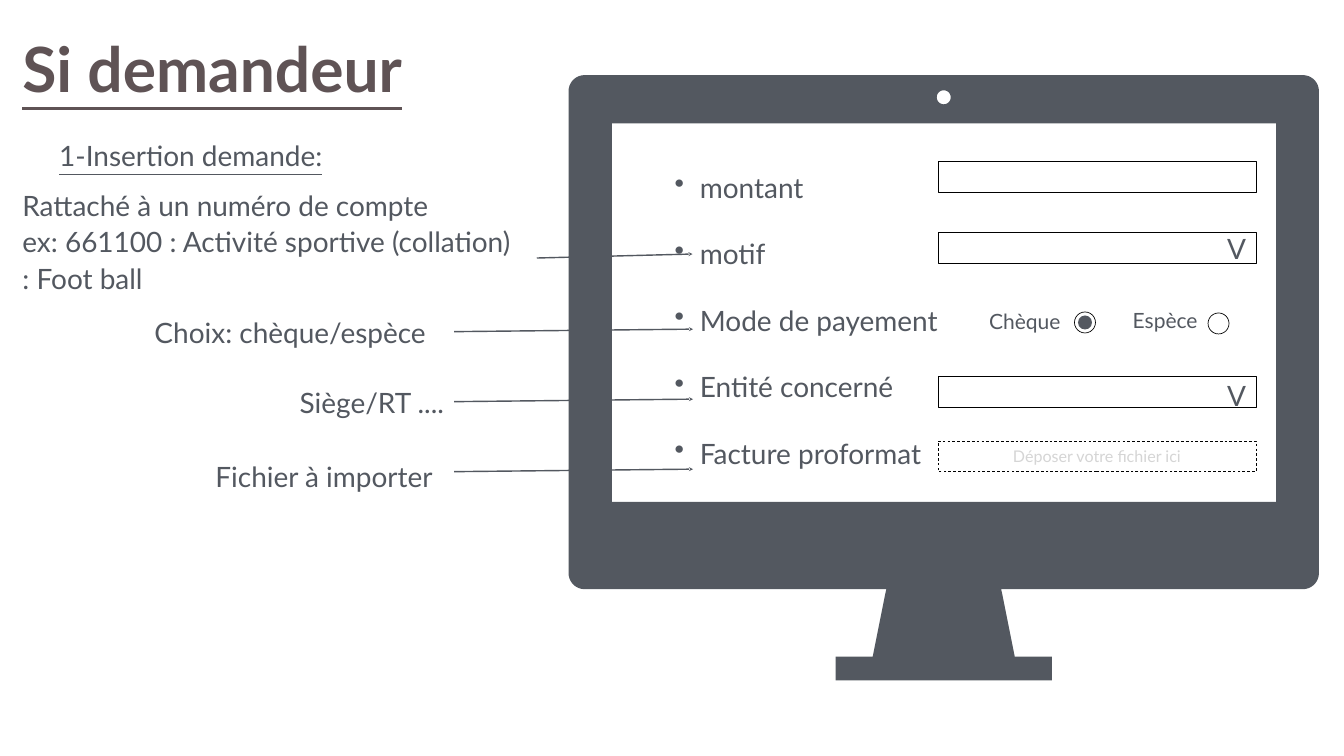
from math import cos, radians, sin

from lxml.etree import SubElement
from pptx import Presentation
from pptx.dml.color import RGBColor
from pptx.enum.dml import MSO_LINE
from pptx.enum.shapes import MSO_CONNECTOR, MSO_SHAPE
from pptx.enum.text import MSO_ANCHOR, MSO_AUTO_SIZE, PP_ALIGN
from pptx.oxml.ns import qn
from pptx.util import Pt

COLORS = {
    "title": "5F5355",
    "slate": "535860",
    "white": "FFFFFF",
    "black": "000000",
    "hint": "D5D5D5",
}
FONT = "Lato"


def rgb(name):
    return RGBColor.from_string(COLORS[name])


def write(frame, text, size=40, color="slate", bold=False, underline=False,
          align=None, before=47, spacing=None, bullet=False):
    frame.vertical_anchor = MSO_ANCHOR.MIDDLE
    frame.margin_left = frame.margin_right = Pt(4)
    frame.margin_top = frame.margin_bottom = Pt(4)
    for index, line in enumerate(text.split("\n")):
        paragraph = frame.add_paragraph() if index else frame.paragraphs[0]
        paragraph.alignment = align
        paragraph.space_before = Pt(before)
        if spacing:
            paragraph.line_spacing = spacing
        if bullet:
            properties = paragraph._p.get_or_add_pPr()
            properties.set("marL", str(Pt(36)))
            properties.set("indent", str(-Pt(36)))
            SubElement(properties, qn("a:buChar")).set("char", "•")
        run = paragraph.add_run()
        run.text = line
        run.font.name = FONT
        run.font.size = Pt(size)
        run.font.bold = bold
        run.font.underline = underline
        run.font.color.rgb = rgb(color)


def arc(x, y, radius, start, end, step=10):
    return [(x + radius * cos(radians(angle)), y + radius * sin(radians(angle)))
            for angle in range(start, end + 1, step)]


class SlideBuilder:
    def __init__(self, slide):
        self.slide = slide

    def text(self, left, top, width, height, text, **style):
        frame = self.slide.shapes.add_textbox(
            Pt(left), Pt(top), Pt(width), Pt(height)).text_frame
        frame.word_wrap = False
        frame.auto_size = MSO_AUTO_SIZE.SHAPE_TO_FIT_TEXT
        write(frame, text, **style)

    def paint(self, shape, fill=None, line=None):
        shape.shadow.inherit = False
        if fill:
            shape.fill.solid()
            shape.fill.fore_color.rgb = rgb(fill)
        else:
            shape.fill.background()
        if line:
            shape.line.color.rgb = rgb(line)
            shape.line.width = Pt(1)
        else:
            shape.line.fill.background()

    def shape(self, kind, left, top, width, height, fill=None, line=None):
        shape = self.slide.shapes.add_shape(
            kind, Pt(left), Pt(top), Pt(width), Pt(height))
        self.paint(shape, fill, line)
        return shape

    def field(self, top):
        return self.shape(MSO_SHAPE.RECTANGLE, 1340, top, 454.3, 44, line="black")

    def dropdown(self, top, mark_top):
        self.field(top)
        self.text(1748.9, mark_top, 33.8, 63.4, "V")

    def radio(self, text_left, text_top, text_width, left, top, label, selected=False):
        self.text(text_left, text_top, text_width, 49, label, size=30)
        self.shape(MSO_SHAPE.OVAL, left, top, 30, 30, "white", "black")
        if selected:
            self.shape(MSO_SHAPE.OVAL, left + 5, top + 5, 20, 20, "slate")

    def arrow(self, x1, y1, x2, y2):
        connector = self.slide.shapes.add_connector(
            MSO_CONNECTOR.STRAIGHT, Pt(x1), Pt(y1), Pt(x2), Pt(y2))
        connector.line.color.rgb = rgb("slate")
        connector.line.width = Pt(2)
        SubElement(connector.line._get_or_add_ln(), qn("a:tailEnd")).set("type", "stealth")
        SubElement(connector._element.spPr, qn("a:effectLst"))

    def outline(self, contours, fill):
        contours = [[(Pt(x), Pt(y)) for x, y in contour] for contour in contours]
        builder = self.slide.shapes.build_freeform(*contours[0][0])
        for index, contour in enumerate(contours):
            if index:
                builder.move_to(*contour[0])
            builder.add_line_segments(contour[1:], close=True)
        self.paint(builder.convert_to_shape(), fill)

    def monitor(self):
        left, top, right, bottom, radius = 812.2, 107.3, 1884.2, 841.7, 23
        center = (left + right) / 2
        half_stand = [(82, bottom), (83.5, 848.2), (101.5, 938.2),
                      (154.4, 938.2), (154.4, 972)]
        stand = [(center + x, y) for x, y in half_stand]
        stand += [(center - x, y) for x, y in reversed(half_stand)]
        body = (arc(left + radius, top + radius, radius, 180, 270)
                + arc(right - radius, top + radius, radius, 270, 360)
                + arc(right - radius, bottom - radius, radius, 0, 90)
                + stand
                + arc(left + radius, bottom - radius, radius, 90, 180))
        camera = arc(center, 139, 10, 0, 350)
        screen = [(874.1, 176.4), (1823, 176.4), (1823, 717.1), (874.1, 717.1)]
        self.outline([body, camera, screen], "slate")


def main():
    presentation = Presentation()
    presentation.slide_width = Pt(1920)
    presentation.slide_height = Pt(1080)
    builder = SlideBuilder(presentation.slides.add_slide(presentation.slide_layouts[6]))

    builder.text(28, 31.7, 610.6, 130.3, "Si demandeur",
                 size=89, color="title", bold=True, underline=True)
    builder.monitor()
    builder.text(80.6, 190.8, 402.5, 63.4, "1-Insertion demande:", underline=True)

    labels = ["montant", "motif", "Mode de payement", "Entité concerné",
              "Facture proformat"]
    builder.text(959.8, 221.8, 404.6, 470.9, "\n".join(labels), bullet=True)

    builder.field(231.1)
    builder.dropdown(331.9, 322.6)
    builder.radio(1409, 434.2, 118.8, 1535, 445.7, "Chèque", selected=True)
    builder.radio(1614.2, 433.4, 108.7, 1725.8, 447.1, "Espèce")
    builder.dropdown(537.8, 533.5)
    drop_zone = builder.field(630)
    drop_zone.line.dash_style = MSO_LINE.DASH
    write(drop_zone.text_frame, "Déposer votre fichier ici", size=23,
          color="hint", align=PP_ALIGN.CENTER, before=0)

    account = ["Rattaché à un numéro de compte",
               "ex: 661100 : Activité sportive (collation)",
               ": Foot ball"]
    builder.text(28, 275.8, 725.8, 167.8, "\n".join(account), spacing=0.1)
    builder.arrow(766.8, 368.6, 989.3, 362.9)

    notes = [
        (216.7, 443.5, 421.2, "Choix: chèque/espèce"),
        (424.1, 543.6, 224.6, "Siège/RT ...."),
        (303.8, 649.4, 331.9, "Fichier à importer"),
    ]
    for index, (left, top, width, note) in enumerate(notes):
        builder.text(left, top, width, 63.4, note)
        y = 473.8 + 100 * index
        builder.arrow(648.7, y, 990, y - 3.6)

    presentation.save("out.pptx")


if __name__ == "__main__":
    main()
